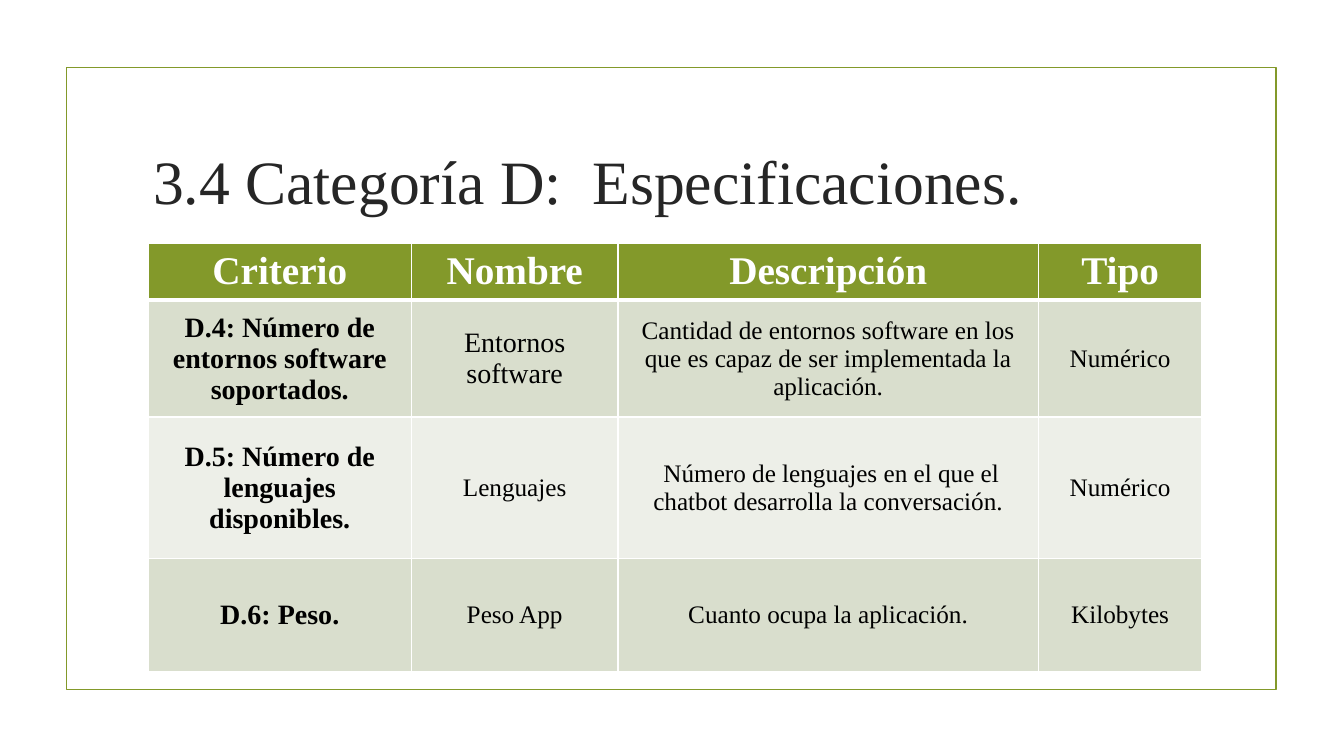
from dataclasses import dataclass

from lxml import etree
from pptx import Presentation
from pptx.dml.color import RGBColor
from pptx.enum.shapes import MSO_SHAPE
from pptx.enum.text import MSO_ANCHOR, PP_ALIGN
from pptx.oxml.ns import qn
from pptx.util import Inches, Pt

RECTANGLE = MSO_SHAPE.RECTANGLE
MIDDLE = MSO_ANCHOR.MIDDLE
LEFT, CENTER = PP_ALIGN.LEFT, PP_ALIGN.CENTER


@dataclass(frozen=True)
class Theme:
    font: str = "Times New Roman"
    green: str = "83992A"
    white: str = "FFFFFF"
    black: str = "000000"
    title: str = "262626"
    bands: tuple = ("D9DECD", "EDEFE8")
    title_size: int = 44
    header_size: int = 28
    criterion_size: int = 20
    body_size: int = 18
    frame_width: float = 1.25
    border_width: int = 1
    header_border_width: int = 3


THEME = Theme()

FRAME_BOX = (0.66, 0.67, 12, 6.17)
TITLE_BOX = (1.42, 1.07, 10.5, 1.43)
TABLE_BOX = (1.47, 2.41, 10.45, 4.19)
COLUMN_WIDTHS = (2.61, 2.05, 4.17, 1.62)
ROW_HEIGHTS = (0.5, 1.16, 1.4, 1.13)

TITLE = "3.4 Categoría D:  Especificaciones."
ROWS = (
    ("Criterio", "Nombre", "Descripción", "Tipo"),
    ("D.4: Número de entornos software soportados.", "Entornos software",
     "Cantidad de entornos software en los que es capaz de ser implementada la aplicación.",
     "Numérico"),
    ("D.5: Número de lenguajes disponibles.", "Lenguajes",
     " Número de lenguajes en el que el chatbot desarrolla la conversación.",
     "Numérico"),
    ("D.6: Peso.", "Peso App", "Cuanto ocupa la aplicación.", "Kilobytes"),
)
LARGE_CELLS = {(1, 1)}


def inches(box):
    return [Inches(length) for length in box]


def write_text(text_frame, text, size, color, alignment, bold=False):
    text_frame.word_wrap = True
    paragraph = text_frame.paragraphs[0]
    paragraph.alignment = alignment
    run = paragraph.add_run()
    run.text = text
    font_format = {"name": THEME.font, "size": Pt(size), "bold": bold}
    for name, value in font_format.items():
        setattr(run.font, name, value)
    run.font.color.rgb = RGBColor.from_string(color)


def add_frame(slide, box):
    frame = slide.shapes.add_shape(RECTANGLE, *inches(box))
    frame.shadow.inherit = False
    frame.fill.background()
    frame.line.color.rgb = RGBColor.from_string(THEME.green)
    frame.line.width = Pt(THEME.frame_width)


def add_title(slide, box):
    text_frame = slide.shapes.add_textbox(*inches(box)).text_frame
    text_frame.vertical_anchor = MIDDLE
    write_text(text_frame, TITLE, THEME.title_size, THEME.title, LEFT)


def set_borders(cell, widths):
    """Draw white cell borders; widths maps each side (L, R, T, B) to points."""
    properties = cell._tc.get_or_add_tcPr()
    for position, (side, width) in enumerate(widths.items()):
        line = etree.Element(qn(f"a:ln{side}"), w=str(Pt(width)))
        fill = etree.SubElement(line, qn("a:solidFill"))
        etree.SubElement(fill, qn("a:srgbClr"), val=THEME.white)
        properties.insert(position, line)


def cell_format(row, column):
    """Return the fill colour and the text format of a cell."""
    if row == 0:
        return THEME.green, {"size": THEME.header_size, "color": THEME.white, "bold": True}
    is_large = column == 0 or (row, column) in LARGE_CELLS
    size = THEME.criterion_size if is_large else THEME.body_size
    band = THEME.bands[(row - 1) % len(THEME.bands)]
    return band, {"size": size, "color": THEME.black, "bold": column == 0}


def add_criteria_table(slide, box):
    table = slide.shapes.add_table(len(ROWS), len(COLUMN_WIDTHS), *inches(box)).table
    for column, width in zip(table.columns, COLUMN_WIDTHS):
        column.width = Inches(width)
    for row, height in zip(table.rows, ROW_HEIGHTS):
        row.height = Inches(height)
    for row_index, texts in enumerate(ROWS):
        borders = dict.fromkeys("LRTB", THEME.border_width)
        if row_index < 2:
            borders["TB"[1 - row_index]] = THEME.header_border_width
        for column_index, text in enumerate(texts):
            cell = table.cell(row_index, column_index)
            fill_color, text_format = cell_format(row_index, column_index)
            cell.vertical_anchor = MIDDLE
            cell.fill.solid()
            cell.fill.fore_color.rgb = RGBColor.from_string(fill_color)
            set_borders(cell, borders)
            write_text(cell.text_frame, text, alignment=CENTER, **text_format)


def main():
    presentation = Presentation()
    presentation.slide_width = Inches(13.33)
    presentation.slide_height = Inches(7.5)
    slide = presentation.slides.add_slide(presentation.slide_layouts[6])
    add_frame(slide, FRAME_BOX)
    add_title(slide, TITLE_BOX)
    add_criteria_table(slide, TABLE_BOX)
    presentation.save("out.pptx")


if __name__ == "__main__":
    main()
